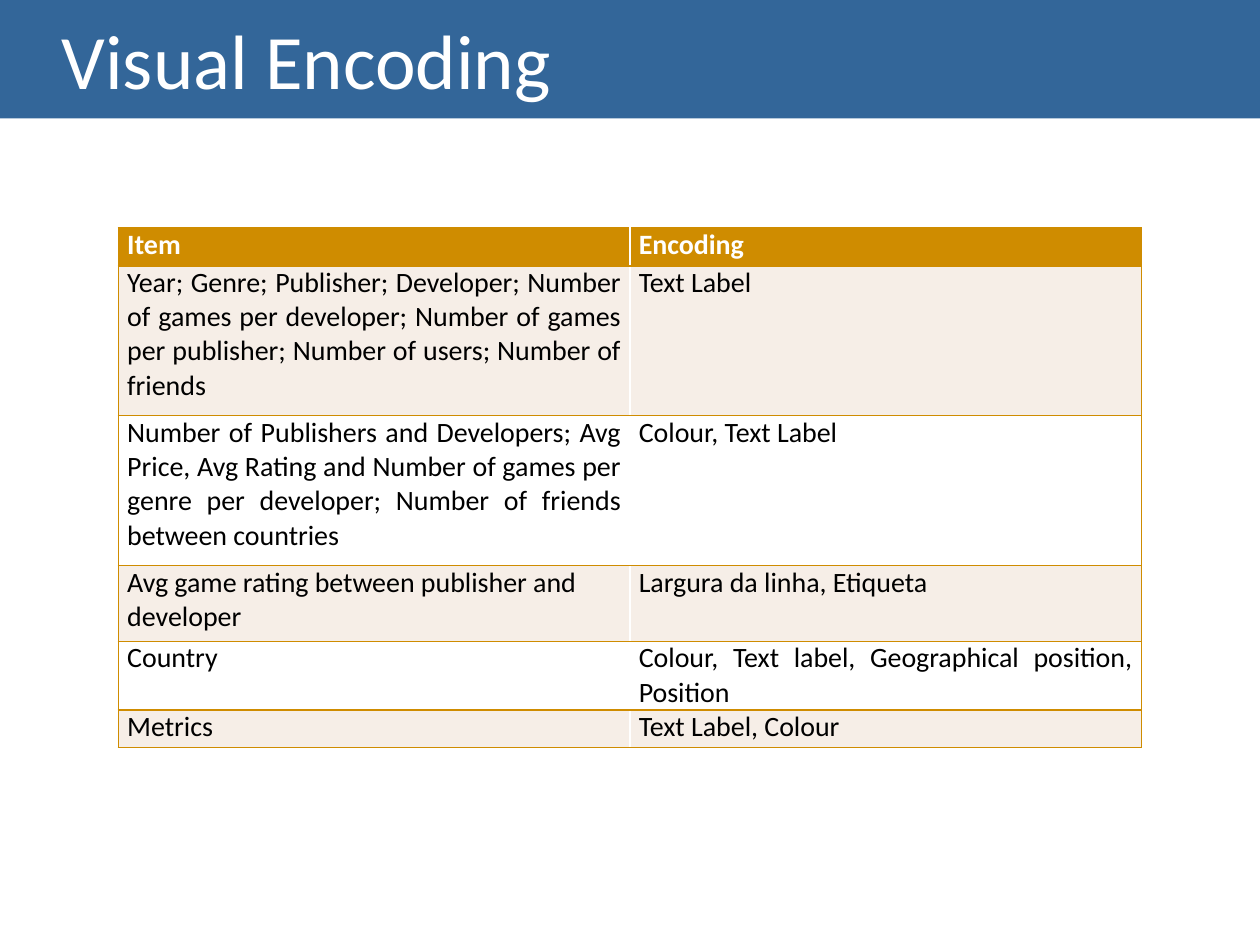
import pptx
import pptx.util
import pptx.dml.color
import pptx.enum.shapes
import pptx.enum.text
import lxml.etree

ROWS = [
    ("Item", "Encoding"),
    ("Year; Genre; Publisher; Developer; Number of games per developer; "
     "Number of games per publisher; Number of users; Number of friends",
     "Text Label"),
    ("Number of Publishers and Developers; Avg Price, Avg Rating and Number "
     "of games per genre per developer; Number of friends between countries",
     "Colour, Text Label"),
    ("Avg game rating between publisher and developer",
     "Largura da linha, Etiqueta"),
    ("Country", "Colour, Text label, Geographical position, Position"),
    ("Metrics", "Text Label, Colour"),
]
TALL = [0.3, 1.19, 1.19, 0.6, 0.54, 0.3]
GOLD, CREAM, WHITE, BLACK, BLUE = "CF8C00", "F6EEE7", "FFFFFF", "000000", "336699"
ALIGN = pptx.enum.text.PP_ALIGN


def paint(item, tone):
    """Fill a shape or cell with a solid colour."""
    item.fill.solid()
    item.fill.fore_color.rgb = pptx.dml.color.RGBColor.from_string(tone)


def style(para, size, tone, bold=False):
    """Format every run of a paragraph."""
    for run in para.runs:
        run.font.name = "Calibri"
        run.font.size = pptx.util.Pt(size)
        run.font.bold = bold
        run.font.color.rgb = pptx.dml.color.RGBColor.from_string(tone)


def edge(cell, sides):
    """Draw gold one-point borders on the given sides of a cell."""
    props = cell._tc.get_or_add_tcPr()
    space = pptx.oxml.ns.nsdecls("a")
    for side in sides:
        props.append(pptx.oxml.parse_xml(
            f'<a:ln{side} {space} w="12700"><a:solidFill>'
            f'<a:srgbClr val="{GOLD}"/></a:solidFill></a:ln{side}>'))


def banner(slide, box, text):
    """Place the title bar in the box."""
    bar = slide.shapes.add_shape(pptx.enum.shapes.MSO_SHAPE.RECTANGLE, *box)
    bar.shadow.inherit = False
    paint(bar, BLUE)
    bar.line.fill.background()
    frame = bar.text_frame
    frame.text = text
    frame.word_wrap = True
    frame.margin_left = pptx.util.Inches(0.49)
    frame.vertical_anchor = pptx.enum.text.MSO_ANCHOR.MIDDLE
    frame.paragraphs[0].alignment = ALIGN.LEFT
    style(frame.paragraphs[0], 44, WHITE)


def entry(cell, text, row, col):
    """Fill and format one table cell."""
    head = row == 0
    edge(cell, "LTB" if col == 0 else "RTB")
    paint(cell, GOLD if head else CREAM if row % 2 else WHITE)
    cell.margin_left = cell.margin_right = pptx.util.Inches(0.07)
    cell.margin_top = cell.margin_bottom = 0
    cell.text_frame.text = text
    para = cell.text_frame.paragraphs[0]
    para.alignment = ALIGN.LEFT if col == 0 and row > 2 else ALIGN.JUSTIFY
    para.space_after = pptx.util.Pt(6)
    style(para, 16, WHITE if head else BLACK, head)


def grid(slide, box, rows):
    """Place the encoding table in the box with equal columns."""
    table = slide.shapes.add_table(len(rows), len(rows[0]), *box).table
    for line, tall in zip(table.rows, TALL):
        line.height = pptx.util.Inches(tall)
    for row, texts in enumerate(rows):
        for col, text in enumerate(texts):
            entry(table.cell(row, col), text, row, col)


def main():
    """Build the slide and save it."""
    deck = pptx.Presentation()
    deck.slide_width = wide = pptx.util.Inches(10)
    deck.slide_height = pptx.util.Inches(7.5)
    slide = deck.slides.add_slide(deck.slide_layouts[6])
    banner(slide, (0, 0, wide, pptx.util.Inches(0.94)), "Visual Encoding")
    box = [pptx.util.Inches(part) for part in (0.94, 1.81, 8.12, sum(TALL))]
    grid(slide, box, ROWS)
    deck.save("out.pptx")


if __name__ == "__main__":
    main()
